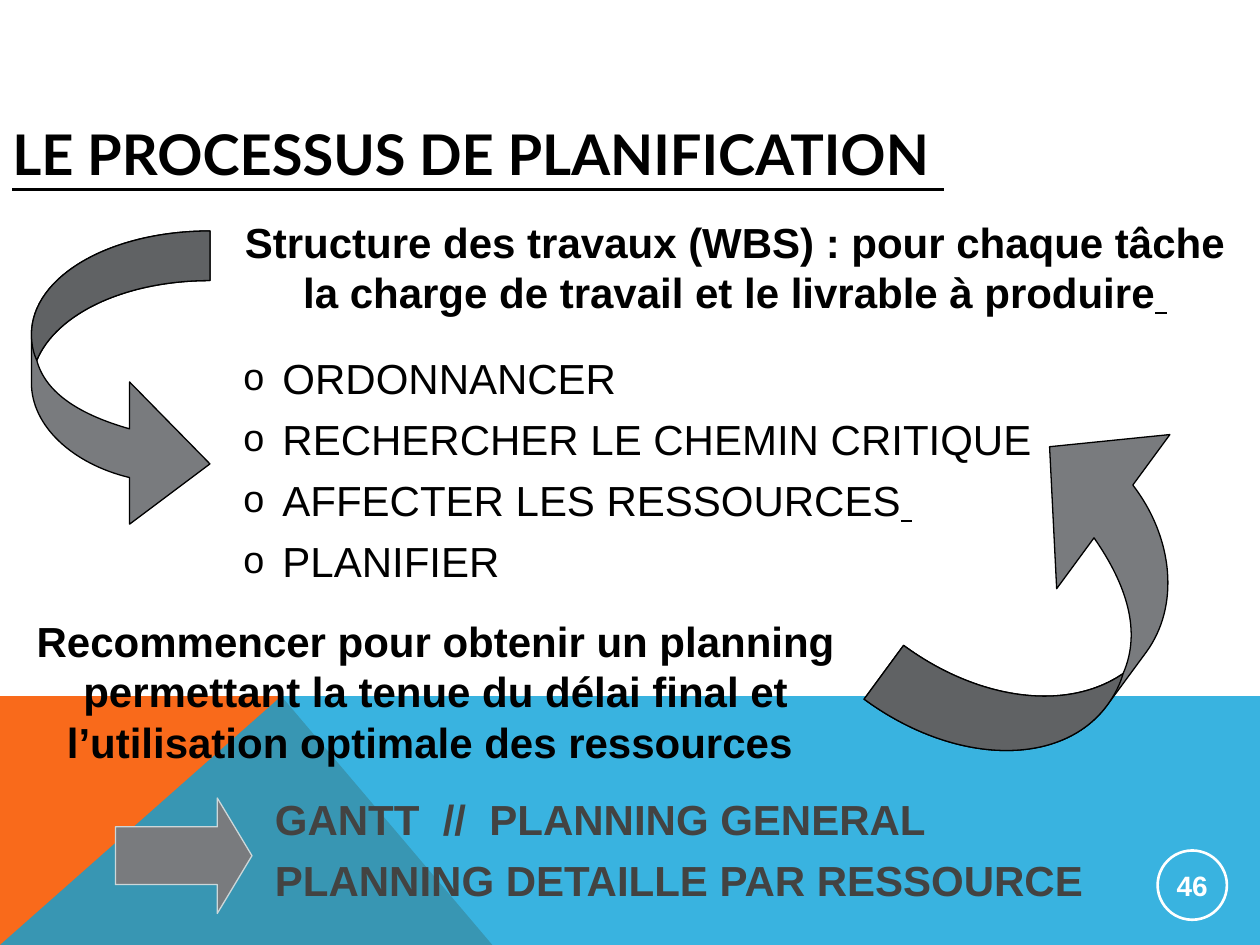
import lxml.etree
import pptx
import pptx.dml.color
import pptx.enum.shapes
import pptx.enum.text
import pptx.oxml.ns
import pptx.util

RGBColor = pptx.dml.color.RGBColor
BLACK = RGBColor(0x00, 0x00, 0x00)
WHITE = RGBColor(0xFF, 0xFF, 0xFF)
ORANGE = RGBColor(0xF9, 0x6A, 0x1B)
BLUE = RGBColor(0x08, 0xA1, 0xD9)
GREY = RGBColor(0x79, 0x7B, 0x7E)
PALE = RGBColor(0xCD, 0xD7, 0xD9)
CHARCOAL = RGBColor(0x43, 0x43, 0x42)
LEFT = pptx.enum.text.PP_ALIGN.LEFT
CENTER = pptx.enum.text.PP_ALIGN.CENTER
MIDDLE = pptx.enum.text.MSO_ANCHOR.MIDDLE
SHAPES = pptx.enum.shapes.MSO_SHAPE
COLUMNS, ROWS = 120, 90
HORIZON, PEAK = 66.3, 26.8

presentation = pptx.Presentation()
presentation.slide_width = pptx.util.Inches(10)
presentation.slide_height = pptx.util.Inches(7.5)
slide = presentation.slides.add_slide(presentation.slide_layouts[6])
cell = presentation.slide_width / COLUMNS


def add_outline(points, fill):
    corners = [(round(x * cell), round(y * cell)) for x, y in points]
    builder = slide.shapes.build_freeform(*corners[0])
    builder.add_line_segments(corners[1:], close=True)
    shape = builder.convert_to_shape()
    shape.shadow.inherit = False
    shape.fill.solid()
    shape.fill.fore_color.rgb = fill
    shape.line.fill.background()
    return shape


def add_child(parent, tag, **attributes):
    return lxml.etree.SubElement(parent, pptx.oxml.ns.qn(tag), **attributes)


add_outline([(0, ROWS), (0, HORIZON), (PEAK, HORIZON), (46.9, ROWS)], ORANGE)
wave = add_outline([(0, ROWS), (PEAK, HORIZON), (COLUMNS, HORIZON), (COLUMNS, ROWS)], BLUE)
add_child(wave.fill._xPr.find(".//" + pptx.oxml.ns.qn("a:srgbClr")), "a:alpha", val="80000")

title = slide.shapes.add_textbox(*[round(n * cell) for n in (0, 10.37, COLUMNS, 8.4)])
title.text_frame.word_wrap = True
title.text_frame.vertical_anchor = MIDDLE
paragraph = title.text_frame.paragraphs[0]
paragraph.text = "LE PROCESSUS DE PLANIFICATION "
paragraph.font.name = "Lato"
paragraph.font.size = pptx.util.Pt(32)
paragraph.font.bold = True
paragraph.font.underline = True
paragraph.font.color.rgb = BLACK

blocks = [
    ((20, 20, 100, 11), CENTER, True, BLACK, None, 0,
     ["Structure des travaux (WBS) : pour chaque tâche",
      "la charge de travail et le livrable à produire "]),
    ((16, 33, 86, 23), LEFT, False, BLACK, "o", 6,
     ["ORDONNANCER", "RECHERCHER LE CHEMIN CRITIQUE", "AFFECTER LES RESSOURCES ", "PLANIFIER"]),
    ((19, 75, 88, 12), LEFT, True, CHARCOAL, None, 6,
     ["GANTT  //  PLANNING GENERAL", "PLANNING DETAILLE PAR RESSOURCE"]),
    ((0, 58, 83, 16), CENTER, True, BLACK, None, 0,
     ["Recommencer pour obtenir un planning", "permettant la tenue du délai final et",
      "l’utilisation optimale des ressources "]),
]
UNDERLINED_ENDS = ("produire ", "RESSOURCES ")

for box, alignment, bold, color, bullet, gap, lines in blocks:
    textbox = slide.shapes.add_textbox(*[round(n * cell) for n in box])
    frame = textbox.text_frame
    frame.word_wrap = True
    for index, text in enumerate(lines):
        paragraph = frame.paragraphs[0] if index == 0 else frame.add_paragraph()
        if text.endswith(UNDERLINED_ENDS):
            paragraph.add_run().text = text.rstrip()
            space = paragraph.add_run()
            space.text = " "
            space.font.underline = True
        else:
            paragraph.text = text
        paragraph.alignment = alignment
        if index:
            paragraph.space_before = pptx.util.Pt(gap)
        properties = paragraph._p.get_or_add_pPr()
        if alignment == LEFT:
            properties.set("marL", str(pptx.util.Inches(0.81)))
            properties.set("indent", str(pptx.util.Inches(-0.31)))
        if bullet:
            add_child(add_child(properties, "a:buClr"), "a:srgbClr", val=str(BLACK))
            add_child(properties, "a:buSzPct", val="90000")
            add_child(properties, "a:buFont", typeface="Arial")
            add_child(properties, "a:buChar", char=bullet)
        paragraph.font.name = "Arial"
        paragraph.font.size = pptx.util.Pt(24)
        paragraph.font.bold = bold
        paragraph.font.color.rgb = color

tail = [("a:moveTo", [(100, 0)]), ("a:cubicBezTo", [(44, 0), (0, 15), (0, 34)])]
fold = [("a:cubicBezTo", [(0, 37), (1, 40), (3, 42.5)])]
inner = [("a:cubicBezTo", [(14, 27), (53, 16.3), (100, 16.3)]), ("a:close", [])]
body = [
    ("a:lnTo", [(0, 50)]),
    ("a:cubicBezTo", [(0, 64), (23, 76.5), (55, 81)]),
    ("a:lnTo", [(55, 96.3)]),
    ("a:lnTo", [(100, 76.5)]),
    ("a:lnTo", [(55, 49.6)]),
    ("a:lnTo", [(55, 65)]),
    ("a:cubicBezTo", [(28, 60.5), (8, 53.5), (3, 42.5)]),
]

for left, top, width, height, rotation in [(3, 22, 17, 29, 0), (92, 37, 19, 39, 216.3)]:
    right, bottom = left + width, top + height
    curved_arrow = add_outline([(left, top), (right, top), (right, bottom), (left, bottom)], GREY)
    curved_arrow.rotation = rotation
    curved_arrow.line.color.rgb = BLACK
    curved_arrow.line.width = pptx.util.Pt(0.75)
    outlines = curved_arrow._element.find(".//" + pptx.oxml.ns.qn("a:pathLst"))
    outlines.remove(outlines[0])
    for segments, shading in [(tail + body + inner, "norm"), (tail + fold + inner, "darkenLess")]:
        outline = add_child(outlines, "a:path", w="1000", h="1000", fill=shading)
        for tag, points in segments:
            segment = add_child(outline, tag)
            for x, y in points:
                add_child(segment, "a:pt", x=str(round(x * 10)), y=str(round(y * 10)))

arrow = slide.shapes.add_shape(SHAPES.RIGHT_ARROW, *[round(n * cell) for n in (11, 76, 13, 11)])
arrow.adjustments[0], arrow.adjustments[1] = 0.5, 0.3
arrow.fill.solid()
arrow.fill.fore_color.rgb = GREY
arrow.line.color.rgb = PALE
arrow.line.width = pptx.util.Pt(0.75)
arrow.shadow.inherit = False

badge = slide.shapes.add_shape(SHAPES.OVAL, *[round(n * cell) for n in (110.25, 81, 6.6, 6.6)])
badge.fill.background()
badge.line.color.rgb = WHITE
badge.line.width = pptx.util.Pt(1.5)
badge.shadow.inherit = False
frame = badge.text_frame
frame.margin_left = frame.margin_right = frame.margin_top = frame.margin_bottom = pptx.util.Inches(0.01)
frame.vertical_anchor = MIDDLE
paragraph = frame.paragraphs[0]
paragraph.text = "46"
paragraph.alignment = CENTER
paragraph.font.name = "Arial"
paragraph.font.size = pptx.util.Pt(16)
paragraph.font.bold = True
paragraph.font.color.rgb = WHITE

presentation.save("out.pptx")
